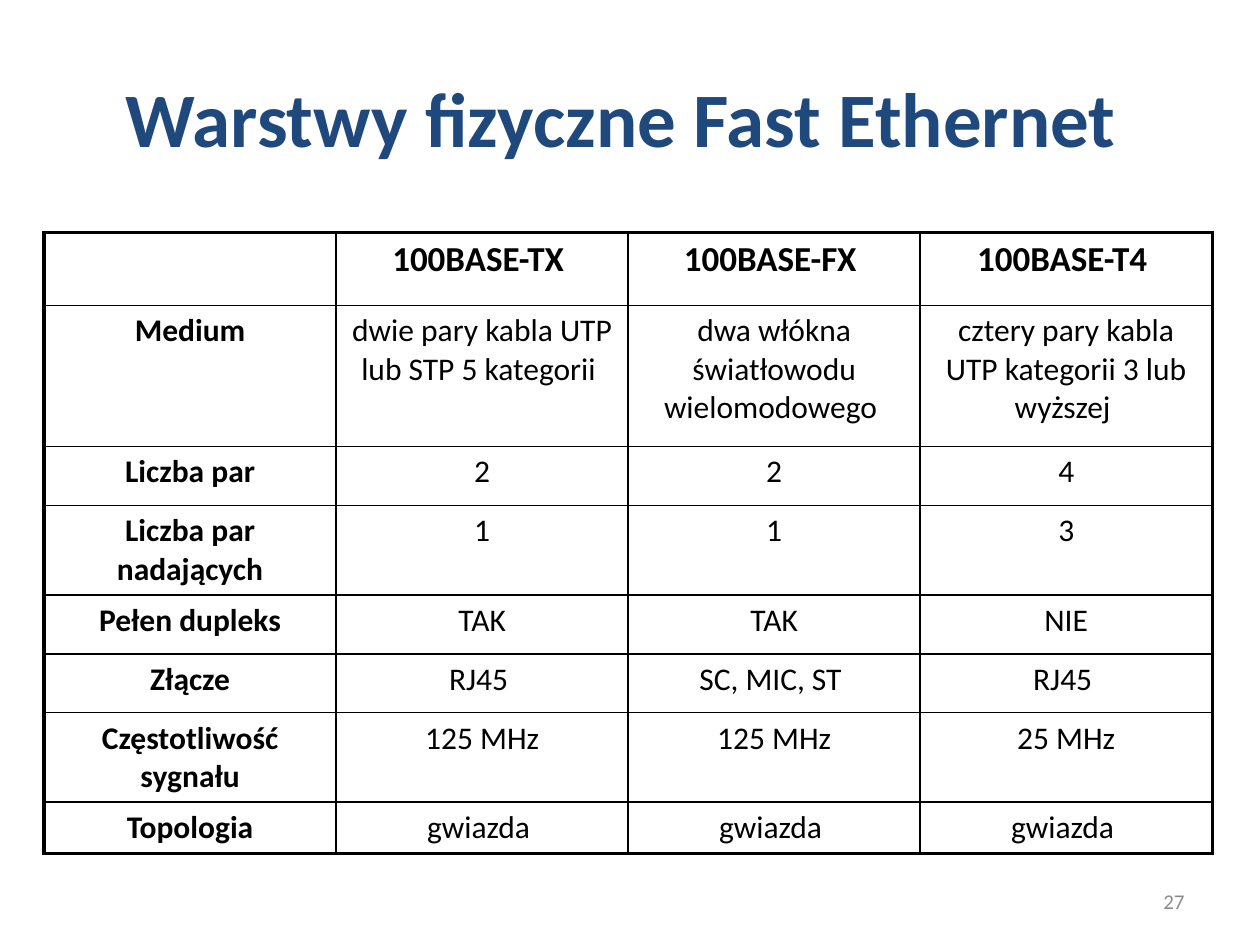
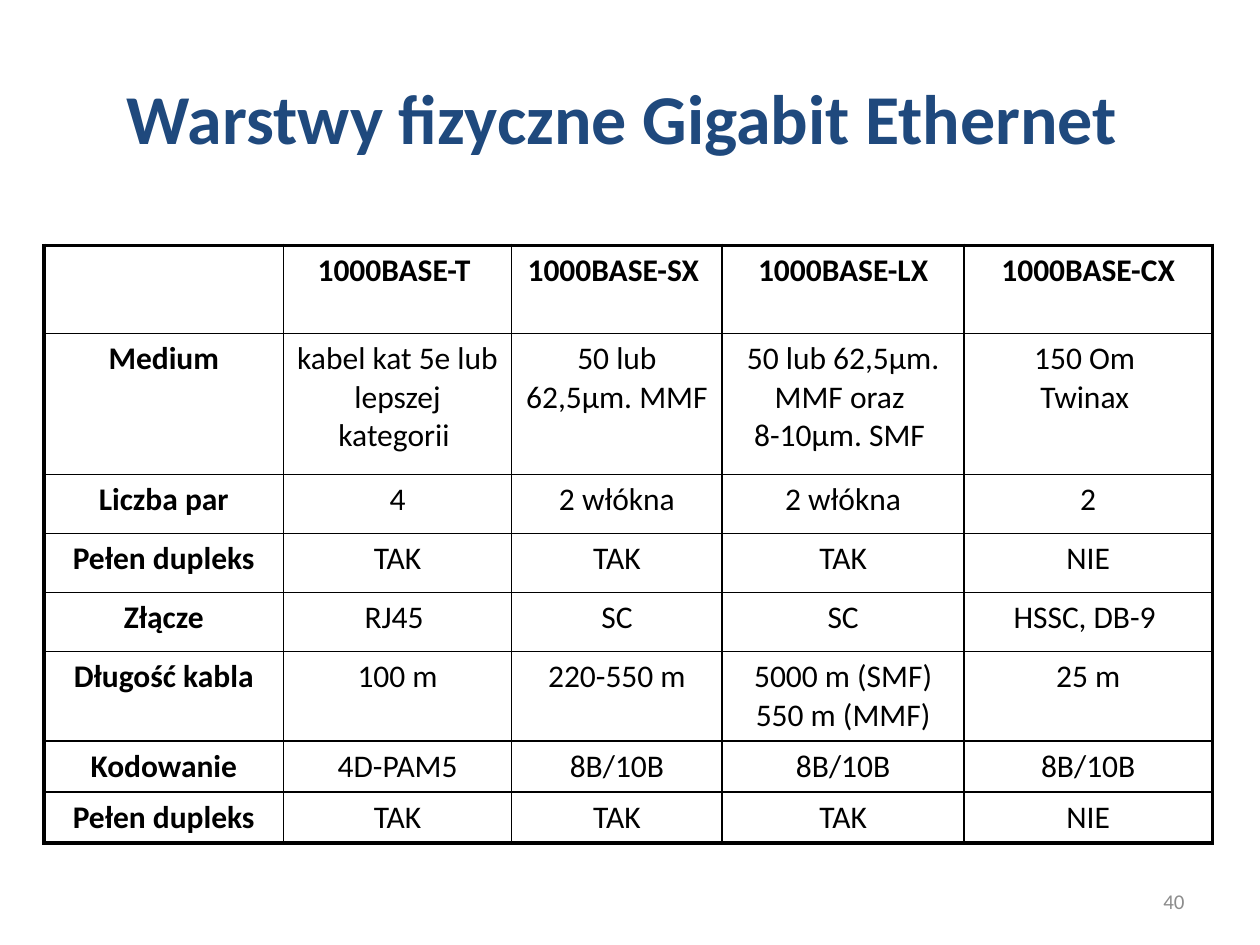
from lxml.etree import SubElement
from pptx import Presentation
from pptx.dml.color import RGBColor
from pptx.enum.text import MSO_ANCHOR as Anchor, MSO_AUTO_SIZE as AutoSize, PP_ALIGN as Align
from pptx.oxml.ns import qn
from pptx.util import Pt

FONT = "Calibri"
NAVY = "1F497D"
BLACK = "000000"
GRAY = "8C8C8C"
TITLE_ONLY = 5
TABLE_LEFT = 25.2
OUTER_LINE, INNER_LINE = 2.25, 1

FAST_ROWS = [
    ["", "100BASE-TX ", "100BASE-FX ", "100BASE-T4 "],
    ["Medium", "dwie pary kabla UTP lub STP 5 kategorii ",
     "dwa włókna światłowodu wielomodowego ",
     "cztery pary kabla UTP kategorii 3 lub wyższej "],
    ["Liczba par", "2", "2", "4"],
    ["Liczba par nadających", "1", "1", "3"],
    ["Pełen dupleks", "TAK", "TAK", "NIE"],
    ["Złącze", "RJ45 ", "SC, MIC, ST ", "RJ45 "],
    ["Częstotliwość sygnału", "125 MHz", "125 MHz", "25 MHz"],
    ["Topologia", "gwiazda ", "gwiazda ", "gwiazda "],
]
FAST_WIDTHS = [166.9] * 4
FAST_HEIGHTS = [41.8, 80.6, 33.7, 50.4, 33.7, 33.7, 50.4, 29]

GIGABIT_ROWS = [
    ["", "1000BASE-T ", "1000BASE-SX ", "1000BASE-LX", "1000BASE-CX"],
    ["Medium", "kabel kat 5e lub lepszej kategorii ", "50 lub 62,5μm. MMF ",
     "50 lub 62,5μm. MMF oraz \n8-10μm. SMF ", "150 Om \nTwinax "],
    ["Liczba par", "4", "2 włókna", "2 włókna", "2"],
    ["Pełen dupleks", "TAK", "TAK", "TAK", "NIE"],
    ["Złącze", "RJ45 ", "SC", "SC", "HSSC, DB-9 "],
    ["Długość kabla", "100 m", "220-550 m", "5000 m (SMF) 550 m (MMF)", "25 m"],
    ["Kodowanie", "4D-PAM5", "8B/10B", "8B/10B", "8B/10B"],
    ["Pełen dupleks", "TAK", "TAK", "TAK", "NIE"],
]
GIGABIT_WIDTHS = [136.8, 130.4, 120.3, 138.3, 141.8]
GIGABIT_HEIGHTS = [50.4, 80.6, 33.7, 33.7, 33.7, 50.4, 29, 29]


def color(hex_code):
    return RGBColor.from_string(hex_code)


def add_run(paragraph, text, size, hex_code, bold=False):
    run = paragraph.add_run()
    run.text = text
    run.font.name = FONT
    run.font.size = Pt(size)
    run.font.bold = bold
    run.font.color.rgb = color(hex_code)


def add_title(slide, text, size):
    title = slide.shapes.title
    title.left, title.top, title.width, title.height = Pt(36), Pt(21.6), Pt(648), Pt(90)
    frame = title.text_frame
    frame.auto_size = AutoSize.NONE
    frame.vertical_anchor = Anchor.MIDDLE
    heading = frame.paragraphs[0]
    heading.alignment = Align.CENTER
    add_run(heading, text, size, NAVY, bold=True)


def add_page_number(slide, number):
    frame = slide.shapes.add_textbox(Pt(516), Pt(500.5), Pt(168), Pt(28.75)).text_frame
    frame.word_wrap = True
    frame.vertical_anchor = Anchor.MIDDLE
    footer = frame.paragraphs[0]
    footer.alignment = Align.RIGHT
    add_run(footer, str(number), 12, GRAY)


def set_borders(cell, outer_sides):
    properties = cell._tc.get_or_add_tcPr()
    for side in "LRTB":
        width = OUTER_LINE if side in outer_sides else INNER_LINE
        line = SubElement(properties, qn(f"a:ln{side}"), w=str(Pt(width)))
        fill = SubElement(line, qn("a:solidFill"))
        SubElement(fill, qn("a:srgbClr"), val=BLACK)


def fill_cell(cell, text, size, bold):
    paragraph = cell.text_frame.paragraphs[0]
    paragraph.alignment = Align.CENTER
    spacing = SubElement(paragraph._p.get_or_add_pPr(), qn("a:spcBef"))
    SubElement(spacing, qn("a:spcPct"), val="20000")
    for index, line in enumerate(text.split("\n")):
        if index:
            paragraph.add_line_break()
        add_run(paragraph, line, size, BLACK, bold)


def add_layer_table(slide, rows, widths, heights, top, header_size):
    last_row, last_column = len(rows) - 1, len(widths) - 1
    table = slide.shapes.add_table(len(rows), len(widths), Pt(TABLE_LEFT), Pt(top),
                                   Pt(sum(widths)), Pt(sum(heights))).table
    table.first_row = table.horz_banding = False
    for column, width in zip(table.columns, widths):
        column.width = Pt(width)
    for r, (texts, height) in enumerate(zip(rows, heights)):
        table.rows[r].height = Pt(height)
        for c, text in enumerate(texts):
            cell = table.cell(r, c)
            edges = {"L": c == 0, "R": c == last_column, "T": r == 0, "B": r == last_row}
            set_borders(cell, [side for side, is_outer in edges.items() if is_outer])
            cell.fill.background()
            if text:
                fill_cell(cell, text, 18 if r else header_size, r == 0 or c == 0)


def add_layer_slide(deck, title, title_size, number, **table):
    slide = deck.slides.add_slide(deck.slide_layouts[TITLE_ONLY])
    add_title(slide, title, title_size)
    add_layer_table(slide, **table)
    add_page_number(slide, number)


def main():
    deck = Presentation()
    deck.slide_width, deck.slide_height = Pt(720), Pt(540)
    add_layer_slide(deck, "Warstwy fizyczne Fast Ethernet ", 44, 27, rows=FAST_ROWS,
                    widths=FAST_WIDTHS, heights=FAST_HEIGHTS, top=132.7, header_size=20)
    add_layer_slide(deck, "Warstwy fizyczne Gigabit Ethernet ", 40, 40, rows=GIGABIT_ROWS,
                    widths=GIGABIT_WIDTHS, heights=GIGABIT_HEIGHTS, top=140.2, header_size=18)
    deck.save("out.pptx")


if __name__ == "__main__":
    main()
